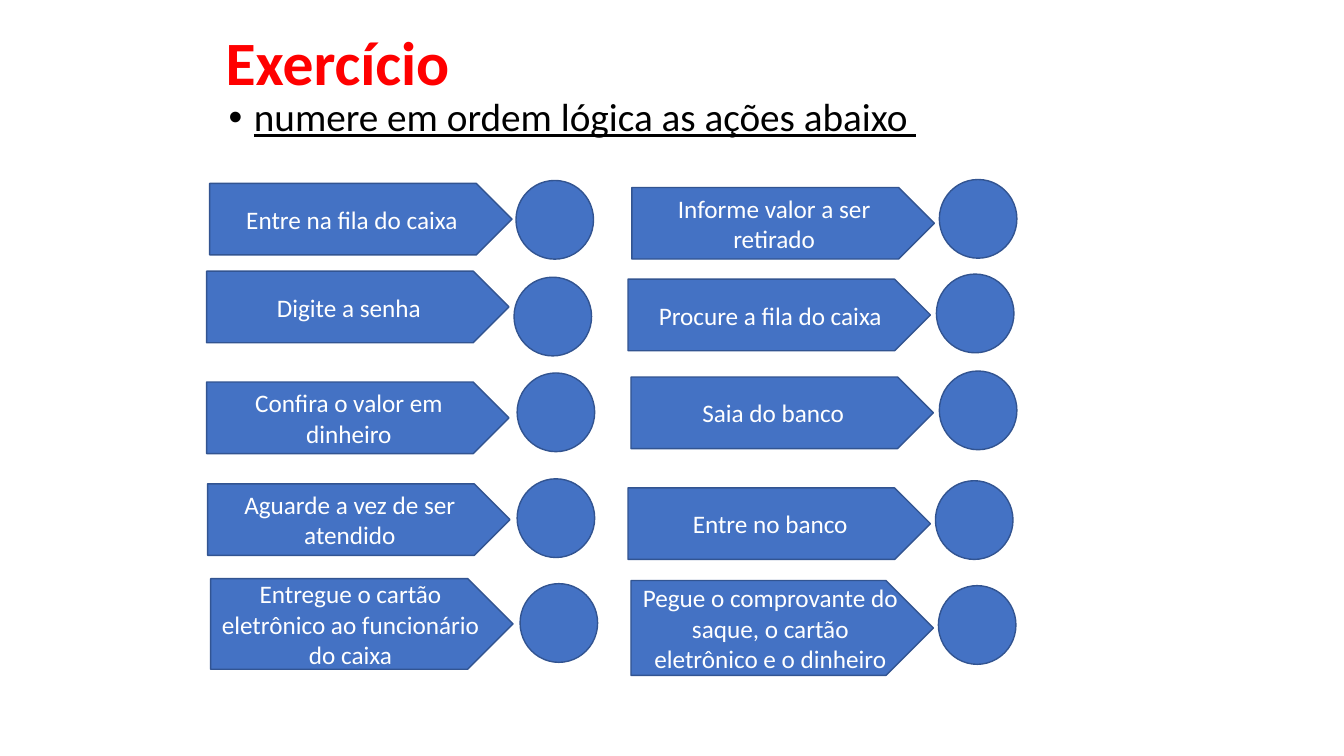
from pptx import Presentation
from pptx.dml.color import RGBColor
from pptx.enum.shapes import MSO_SHAPE
from pptx.enum.text import MSO_ANCHOR, MSO_AUTO_SIZE, PP_ALIGN
from pptx.util import Pt

ARROW, CIRCLE = MSO_SHAPE.PENTAGON, MSO_SHAPE.OVAL
MIDDLE, TOP = MSO_ANCHOR.MIDDLE, MSO_ANCHOR.TOP
CENTER, LEFT = PP_ALIGN.CENTER, PP_ALIGN.LEFT
NO_AUTOFIT = MSO_AUTO_SIZE.NONE

FONT = "Calibri"
COLORS = {
    "title": "FF0000",
    "body": "000000",
    "fill": "4472C4",
    "outline": "325491",
    "label": "FFFFFF",
}
ARROW_WIDTH, ARROW_HEIGHT = 216, 51.1
CIRCLE_SIZE = (55.4, 56.2)

# Label, arrow position, circle position, arrow height
ACTIONS = [
    ("Entre na fila do caixa", (149.8, 131), (368.6, 128.9), ARROW_HEIGHT),
    ("Digite a senha", (147.6, 193.7), (367.2, 198), ARROW_HEIGHT),
    ("Confira o valor em dinheiro", (147.6, 272.9), (369.4, 266.4), ARROW_HEIGHT),
    ("Aguarde a vez de ser atendido", (148.3, 345.6), (369.4, 342), ARROW_HEIGHT),
    ("Entregue o cartão eletrônico ao funcionário do caixa",
     (150.5, 413.3), (371.5, 416.9), 64.8),
    ("Informe valor a ser retirado", (451.4, 133.9), (671, 128.2), ARROW_HEIGHT),
    ("Procure a fila do caixa", (448.6, 199.4), (668.9, 195.8), ARROW_HEIGHT),
    ("Saia do banco", (450.7, 269.3), (671, 265), ARROW_HEIGHT),
    ("Entre no banco", (448.6, 348.5), (668.2, 343.4), ARROW_HEIGHT),
    ("Pegue o comprovante do saque, o cartão eletrônico e o dinheiro",
     (450.7, 414.7), (670.3, 418.3), 67.7),
]


def color(name):
    return RGBColor.from_string(COLORS[name])


def style_font(paragraph, size, color_name):
    paragraph.font.name = FONT
    paragraph.font.size = Pt(size)
    paragraph.font.color.rgb = color(color_name)


def fill_placeholder(holder, text, box, size, color_name, anchor):
    """Place a template placeholder and return its formatted paragraph."""
    holder.left, holder.top, holder.width, holder.height = map(Pt, box)
    frame = holder.text_frame
    frame.text = text
    frame.auto_size = NO_AUTOFIT
    frame.vertical_anchor = anchor
    paragraph = frame.paragraphs[0]
    paragraph.alignment = LEFT
    paragraph.line_spacing = 0.9
    style_font(paragraph, size, color_name)
    return paragraph


def add_outlined_shape(shapes, kind, position, size):
    shape = shapes.add_shape(kind, *map(Pt, (*position, *size)))
    shape.shadow.inherit = False
    shape.fill.solid()
    shape.fill.fore_color.rgb = color("fill")
    shape.line.color.rgb = color("outline")
    shape.line.width = Pt(1)
    return shape


def add_action(slide, label, arrow_position, circle_position, arrow_height):
    """Group an action arrow with the circle for its number."""
    shapes = slide.shapes.add_group_shape().shapes
    arrow = add_outlined_shape(shapes, ARROW, arrow_position,
                               (ARROW_WIDTH, arrow_height))
    frame = arrow.text_frame
    frame.text = label
    frame.word_wrap = True
    frame.vertical_anchor = MIDDLE
    paragraph = frame.paragraphs[0]
    paragraph.alignment = CENTER
    style_font(paragraph, 18, "label")
    add_outlined_shape(shapes, CIRCLE, circle_position, CIRCLE_SIZE)


def main():
    deck = Presentation()
    deck.slide_width, deck.slide_height = Pt(960), Pt(540)
    slide = deck.slides.add_slide(deck.slide_layouts[1])

    title = fill_placeholder(slide.shapes.title, "Exercício",
                             (154, 2, 551, 90), 44, "title", MIDDLE)
    title.font.bold = True

    instruction = fill_placeholder(slide.placeholders[1],
                                   "numere em ordem lógica as ações abaixo ",
                                   (156.2, 66.2, 799.2, 396), 28, "body", TOP)
    instruction.font.underline = True
    instruction.space_before = Pt(10)
    properties = instruction._p.get_or_add_pPr()
    properties.set("marL", str(Pt(18)))
    properties.set("indent", str(-Pt(18)))

    for action in ACTIONS:
        add_action(slide, *action)
    deck.save("out.pptx")


if __name__ == "__main__":
    main()
